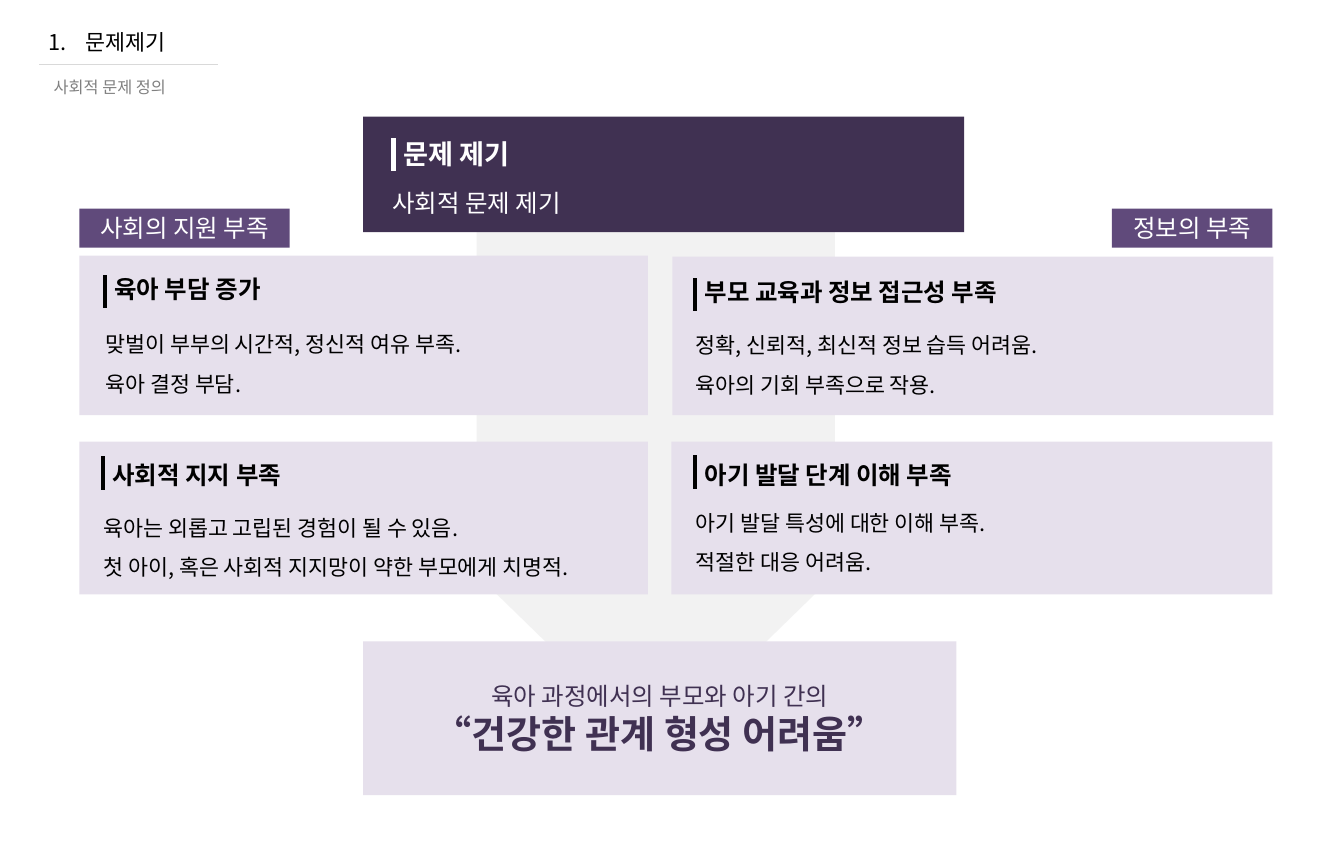
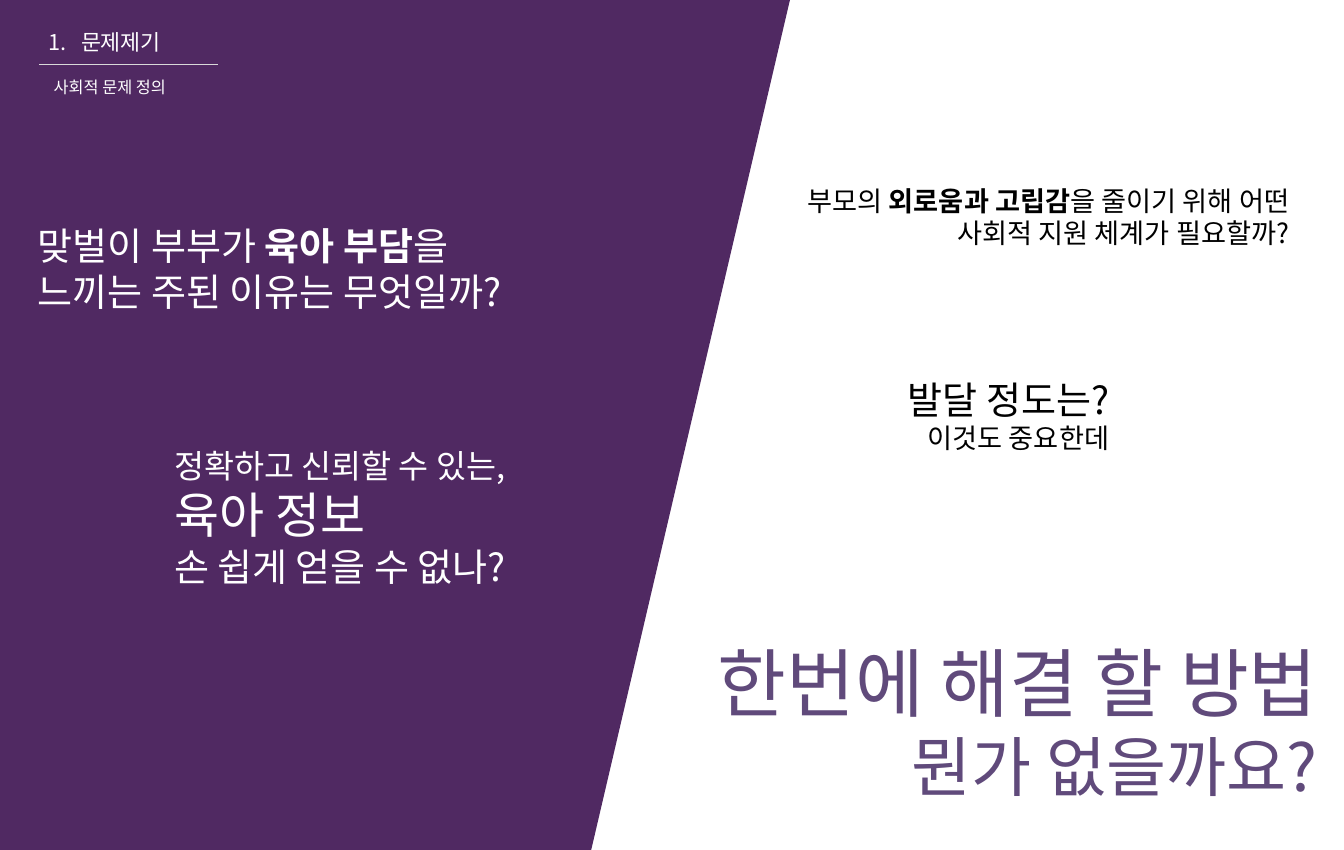
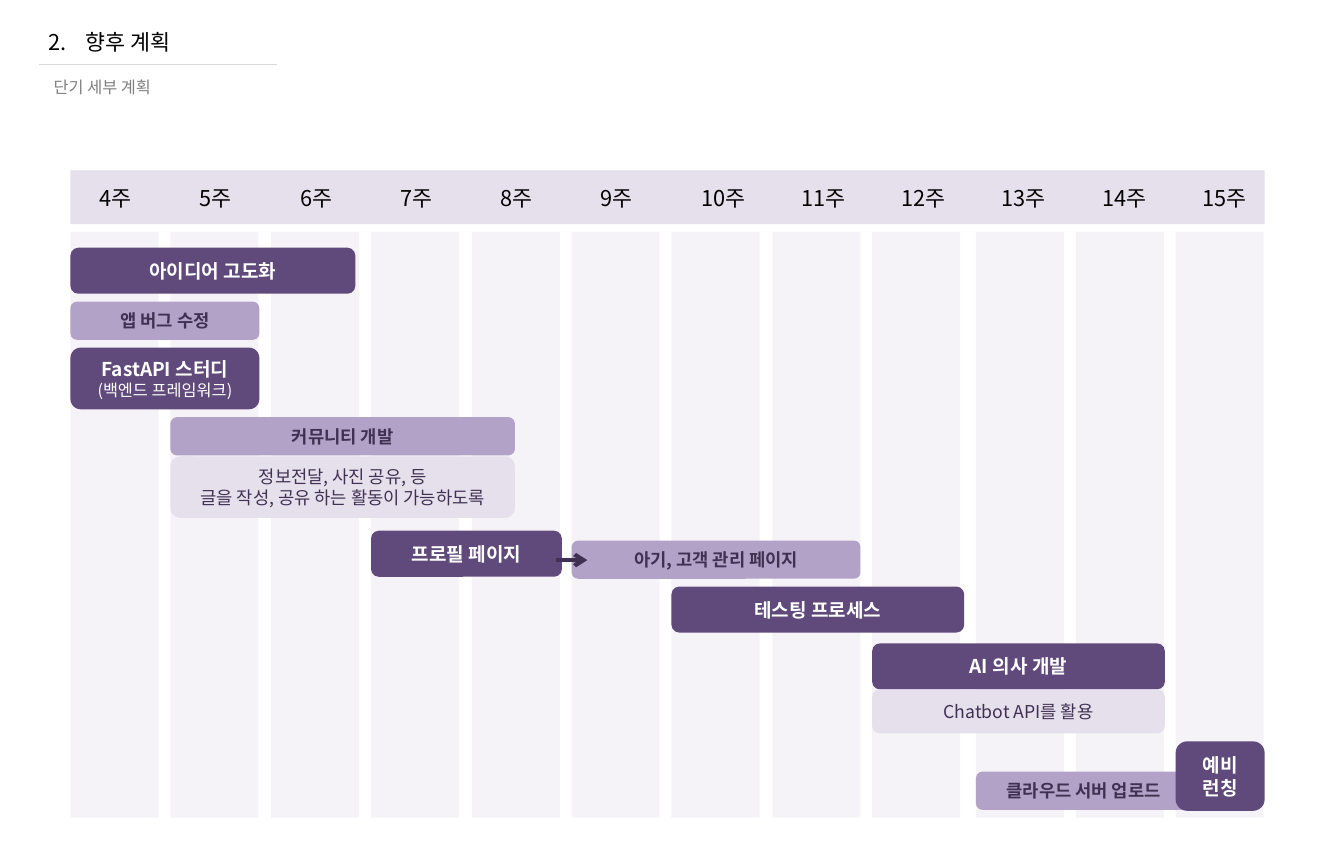
"""Build three slides on parenting problems, open questions and the weekly plan."""
from lxml.etree import SubElement
from pptx import Presentation
from pptx.dml.color import RGBColor
from pptx.enum.shapes import MSO_CONNECTOR as Connector, MSO_SHAPE as Shape
from pptx.enum.text import MSO_ANCHOR as Anchor, PP_ALIGN as Align
from pptx.oxml.ns import qn
from pptx.util import Pt

PX = 9144
WIDTH, HEIGHT = 1373, 868
FONT = "Noto Sans CJK KR"
COLORS = {
    "white": "FFFFFF", "black": "000000", "gray": "808080", "rule": "D9D9D9",
    "arrow": "F2F2F2", "column": "F5F3F7", "pale": "E6E0EC", "lilac": "B3A2C7",
    "purple": "604A7B", "dark": "403152", "panel": "502962",
}

# left, top, width, height, bar left, bar top, title top, body top, title, lines
CARDS = [
    (687, 262, 614, 162, 710, 284, 278, 321, "부모 교육과 정보 접근성 부족",
     ["정확, 신뢰적, 최신적 정보 습득 어려움.", "육아의 기회 부족으로 작용."]),
    (686, 451, 614, 156, 710, 465, 465, 502, "아기 발달 단계 이해 부족",
     ["아기 발달 특성에 대한 이해 부족.", "적절한 대응 어려움."]),
    (81, 261, 581, 163, 107, 281, 275, 320, "육아 부담 증가",
     ["맞벌이 부부의 시간적, 정신적 여유 부족.", "육아 결정 부담."]),
    (81, 451, 581, 156, 105, 466, 465, 507, "사회적 지지 부족",
     ["육아는 외롭고 고립된 경험이 될 수 있음.",
      "첫 아이, 혹은 사회적 지지망이 약한 부모에게 치명적."]),
]
TAGS = [(81, 215, "사회의 지원 부족"), (1136, 164, "정보의 부족")]
CONCLUSION = [("육아 과정에서의 부모와 아기 간의", 18), ("**“건강한 관계 형성 어려움”**", 28)]

QUESTIONS = [
    ((528, 645, 828, 183), "purple", Align.RIGHT,
     [("한번에 해결 할 방법", 55), ("뭔가 없을까요?", 48)]),
    ((168, 450, 770, 158), "white", Align.LEFT,
     [("정확하고 신뢰할 수 있는,", 24), ("육아 정보", 36), ("손 쉽게 얻을 수 없나?", 28)]),
    ((373, 379, 770, 91), "black", Align.RIGHT,
     [("발달 정도는?", 28), ("이것도 중요한데", 20)]),
    ((807, 183, 520, 77), "black", Align.RIGHT,
     [("부모의 **외로움과 고립감**을 줄이기 위해 어떤 사회적 지원 체계가 필요할까?", 20)]),
    ((29, 222, 770, 104), "white", Align.LEFT,
     [("맞벌이 부부가 **육아 부담**을", 28), ("느끼는 주된 이유는 무엇일까?", 28)]),
]

WEEKS = range(4, 16)
TASK_STYLES = {"main": ("purple", "white"), "sub": ("lilac", "dark"), "note": ("pale", "dark")}
# style, first week, top, width, height, lines
TASKS = [
    ("main", 4, 253, 291, 47, [("**아이디어 고도화**", 14)]),
    ("sub", 4, 308, 193, 39, [("**앱 버그 수정**", 13)]),
    ("main", 4, 355, 193, 63, [("**FastAPI 스터디**", 14), ("(백엔드 프레임워크)", 12)]),
    ("sub", 5, 426, 352, 39, [("**커뮤니티 개발**", 13)]),
    ("note", 5, 466, 352, 63,
     [("정보전달, 사진 공유, 등", 13), ("글을 작성, 공유 하는 활동이 가능하도록", 13)]),
    ("main", 7, 542, 195, 47, [("**프로필 페이지**", 14)]),
    ("sub", 9, 552, 295, 39, [("**아기, 고객 관리 페이지**", 13)]),
    ("main", 10, 599, 299, 47, [("**테스팅 프로세스**", 14)]),
    ("main", 12, 657, 299, 47, [("**AI 의사 개발**", 14)]),
    ("note", 12, 704, 299, 45, [("Chatbot API를 활용", 13)]),
    ("sub", 13, 788, 220, 39, [("**클라우드 서버 업로드**", 13)]),
    ("main", 15, 757, 91, 71, [("**예비**", 14), ("**런칭**", 14)]),
]


def px(*lengths):
    return [round(length * PX) for length in lengths]


def color(name):
    return RGBColor.from_string(COLORS[name])


def write(box, lines, ink, align=Align.LEFT, spacing=None, number=None, indent=38):
    """Fill a box with (text, size) lines; **marks** enclose bold words."""
    frame = box.text_frame
    frame.word_wrap = True
    for index, (text, size) in enumerate(lines):
        para = frame.paragraphs[0] if index == 0 else frame.add_paragraph()
        para.alignment = align
        if spacing:
            para.line_spacing = spacing
        layout = para._p.get_or_add_pPr()
        if number:
            layout.set("marL", str(indent * PX))
            layout.set("indent", str(-indent * PX))
            SubElement(layout, qn("a:buAutoNum"), type="arabicPeriod", startAt=str(number))
        spans = [(part, place % 2 == 1) for place, part in enumerate(text.split("**")) if part]
        same = len({bold for _, bold in spans}) == 1
        font = para.font
        font.size, font.name, font.color.rgb = Pt(size), FONT, color(ink)
        font.bold = same and spans[0][1]
        SubElement(layout.find(qn("a:defRPr")), qn("a:ea"), typeface=FONT)
        for part, bold in spans:
            span = para.add_run()
            span.text = part
            if not same:
                span.font.bold = bold


def add_text(page, place, lines, ink, **options):
    write(page.shapes.add_textbox(*px(*place)), lines, ink, **options)


def paint(shape, fill):
    shape.shadow.inherit = False
    shape.fill.solid()
    shape.fill.fore_color.rgb = color(fill)
    shape.line.fill.background()
    return shape


def add_block(page, place, fill, kind=Shape.RECTANGLE):
    return paint(page.shapes.add_shape(kind, *px(*place)), fill)


def add_line(page, ends, ink, weight, arrow=False):
    line = page.shapes.add_connector(Connector.STRAIGHT, *px(*ends))
    line.line.color.rgb = color(ink)
    line.line.width = Pt(weight)
    properties = line._element.spPr
    if arrow:
        SubElement(properties.find(qn("a:ln")), qn("a:tailEnd"), type="arrow")
    SubElement(properties, qn("a:effectLst"))


def add_header(page, number, title, subtitle, rule_end=223, inks=("black", "gray"),
               weight=1, indent=38):
    add_text(page, (40, 24, 292, 37), [(title, 16)], inks[0], number=number, indent=indent)
    add_line(page, (40, 66, rule_end, 66), "rule", weight)
    add_text(page, (45, 74, 295, 30), [(subtitle, 12)], inks[1])


def add_barred_title(page, left, bar_top, top, title, size, ink):
    add_text(page, (left, top, 426, 40), [(f"**{title}**", size)], ink)
    add_line(page, (left, bar_top, left, bar_top + 34), ink, 3)


def build_problem(page):
    arrow = add_block(page, (487, 237, 366, 528), "arrow", Shape.DOWN_ARROW)
    arrow.adjustments[0], arrow.adjustments[1] = 1, 0.487
    add_header(page, 1, "문제제기", "사회적 문제 정의")
    add_block(page, (371, 119, 614, 118), "dark")
    add_barred_title(page, 402, 141, 135, "문제 제기", 20, "white")
    add_text(page, (391, 187, 594, 40), [("사회적 문제 제기", 18)], "white")
    for left, top, width, height, bar_left, bar_top, title_top, body_top, title, lines in CARDS:
        add_block(page, (left, top, width, height), "pale")
        add_barred_title(page, bar_left, bar_top, title_top, title, 18, "black")
        add_text(page, (bar_left - 9, body_top, 565, 86), [(line, 16) for line in lines],
                 "black", spacing=1.5)
    for left, width, label in TAGS:
        tag = add_block(page, (left, 213, width, 40), "purple")
        write(tag, [(label, 18)], "white", Align.CENTER)
    write(add_block(page, (371, 655, 606, 157), "pale"), CONCLUSION, "dark", Align.CENTER)


def build_questions(page):
    outline = page.shapes.build_freeform(0, 0, scale=PX)
    outline.add_line_segments([(807, 0), (604, HEIGHT), (0, HEIGHT)])
    paint(outline.convert_to_shape(), "panel")
    add_header(page, 1, "문제제기", "사회적 문제 정의", inks=("white", "white"),
               weight=0.5, indent=33)
    for place, ink, align, lines in QUESTIONS:
        add_text(page, place, lines, ink, align=align)


def week_left(week):
    return 72 + round(102.4 * (week - WEEKS[0])) + (3 if week > 12 else 0)


def build_plan(page):
    add_header(page, 2, "향후 계획", "단기 세부 계획", rule_end=283)
    add_block(page, (72, 174, 1220, 55), "pale")
    for index, week in enumerate(WEEKS):
        add_block(page, (week_left(week), 237, 90, 598), "column")
        add_text(page, (92 + 102.4 * index, 184, 91, 37), [(f"{week}주", 16)], "black")
    for style, week, top, width, height, lines in TASKS:
        fill, ink = TASK_STYLES[style]
        bar = add_block(page, (week_left(week), top, width, height), fill,
                        Shape.ROUNDED_RECTANGLE)
        bar.text_frame.vertical_anchor = Anchor.MIDDLE
        write(bar, lines, ink, Align.CENTER)
    add_line(page, (568, 572, 600, 572), "dark", 3, arrow=True)


def main():
    deck = Presentation()
    deck.slide_width, deck.slide_height = px(WIDTH, HEIGHT)
    for build in (build_problem, build_questions, build_plan):
        build(deck.slides.add_slide(deck.slide_layouts[6]))
    deck.save("out.pptx")


if __name__ == "__main__":
    main()
